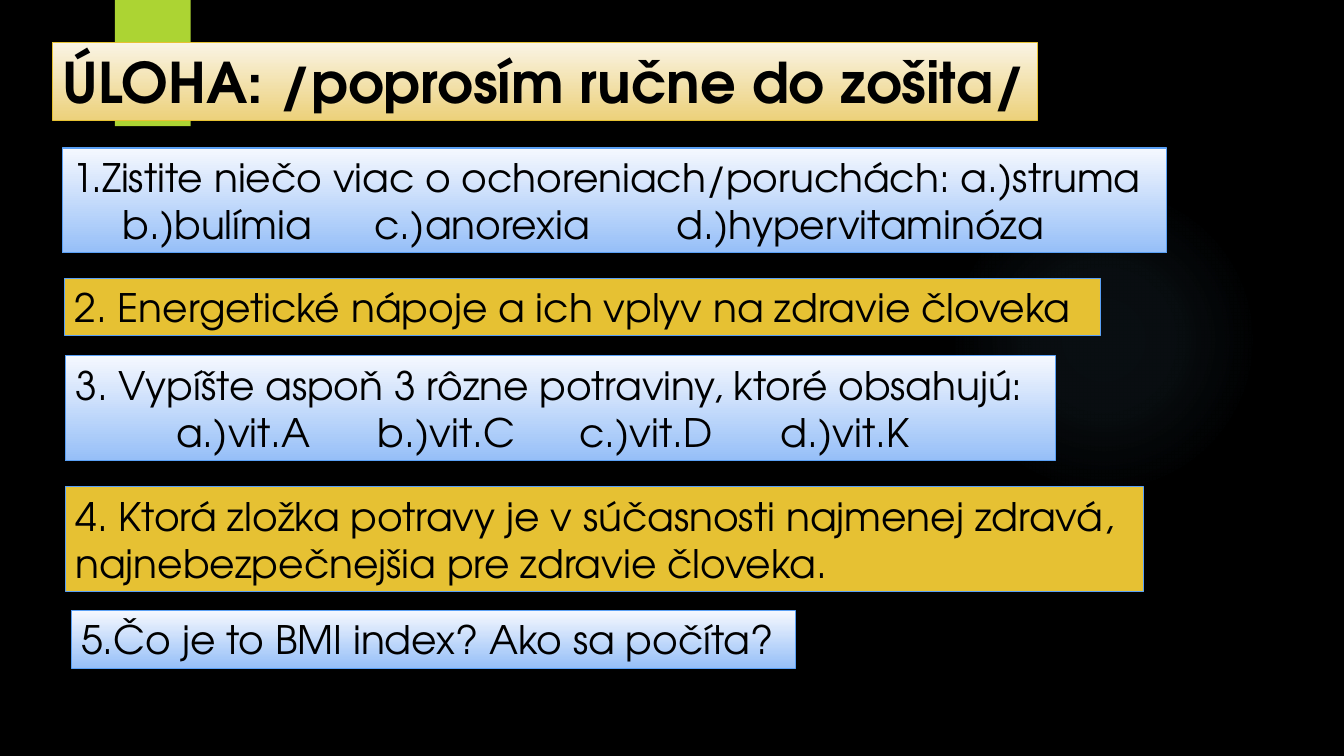
from lxml import etree
from pptx import Presentation
from pptx.dml.color import RGBColor
from pptx.enum.shapes import MSO_SHAPE
from pptx.enum.text import MSO_AUTO_SIZE
from pptx.oxml.ns import nsdecls, qn
from pptx.util import Cm, Pt

FONT = "TeX Gyre Adventor"
COLORS = {
    "black": "000000",
    "green": "ACD433",
    "glow": "7AC4F0",
    "gold": "E6C133",
    "cream": "FAF4E5",
    "sand": "ECD17B",
    "ice": "F5F8FE",
    "sky": "96BFF8",
    "blue": "5AA0F5",
}
CREAM_FADE = ["cream", "sand"]
BLUE_FADE = ["ice", "sky"]
GOLD = ["gold"]


def rgb(name):
    return RGBColor.from_string(COLORS[name])


def add_box(left, top, width, height, lines, fill, line, size=28, bold=False, tabs=()):
    s = slide.shapes.add_textbox(Cm(left), Cm(top), Cm(width), Cm(height))
    if len(fill) == 1:
        s.fill.solid()
        s.fill.fore_color.rgb = rgb(fill[0])
    else:
        s.fill.gradient()
        s.fill.gradient_angle = 270
        for stop, name in zip(s.fill.gradient_stops, fill):
            stop.color.rgb = rgb(name)
    s.line.color.rgb = rgb(line)
    s.line.width = Pt(0.75)
    tf = s.text_frame
    tf.word_wrap = False
    tf.auto_size = MSO_AUTO_SIZE.SHAPE_TO_FIT_TEXT
    tf.text = "\n".join(lines)
    for p in tf.paragraphs:
        if tabs and "\t" in p.text:
            tab_list = etree.SubElement(p._p.get_or_add_pPr(), qn("a:tabLst"))
            for pos in tabs:
                etree.SubElement(tab_list, qn("a:tab"), pos=str(Cm(pos)), algn="l")
        p.font.name = FONT
        p.font.size = Pt(size)
        p.font.bold = bold
        p.font.color.rgb = rgb("black")


prs = Presentation()
prs.slide_width = Cm(33.87)
prs.slide_height = Cm(19.05)
slide = prs.slides.add_slide(prs.slide_layouts[6])
slide.background.fill.solid()
slide.background.fill.fore_color.rgb = rgb("black")

glow = slide.shapes.add_shape(MSO_SHAPE.OVAL, Cm(23.9), Cm(4.65), Cm(7.82), Cm(7.82))
glow.shadow.inherit = False
glow.line.fill.background()
glow.fill.solid()
stops = "".join(
    f'<a:gs pos="{pos * 1000}"><a:srgbClr val="{COLORS["glow"]}">'
    f'<a:alpha val="{alpha * 1000}"/></a:srgbClr></a:gs>'
    for pos, alpha in [(0, 7), (36, 6), (69, 0)]
)
radial = etree.fromstring(
    f'<a:gradFill {nsdecls("a")} rotWithShape="1"><a:gsLst>{stops}</a:gsLst>'
    '<a:path path="circle"><a:fillToRect l="50000" t="50000" r="50000" b="50000"/>'
    "</a:path></a:gradFill>"
)
spPr = glow._element.spPr
spPr.replace(spPr.find(qn("a:solidFill")), radial)

tag = slide.shapes.add_shape(MSO_SHAPE.RECTANGLE, Cm(2898 / 1000), Cm(0), Cm(1.91), Cm(3.18))
tag.shadow.inherit = False
tag.line.fill.background()
tag.fill.solid()
tag.fill.fore_color.rgb = rgb("green")

add_box(1.32, 1.07, 24.82, 1.96, ["ÚLOHA: /poprosím ručne do zošita/"],
        CREAM_FADE, "gold", size=40, bold=True)

tasks = [
    (1.57, 3.73, 27.84, BLUE_FADE, (1.27, 7.62, 15.24),
     ["1.Zistite niečo viac o ochoreniach/poruchách: a.)struma",
      "\tb.)bulímia\tc.)anorexia\td.)hypervitaminóza"]),
    (1.63, 7.01, 26.11, GOLD, (),
     ["2. Energetické nápoje a ich vplyv na zdravie človeka"]),
    (1.65, 8.97, 24.94, BLUE_FADE, (2.54, 7.62, 12.7, 17.78),
     ["3. Vypíšte aspoň 3 rôzne potraviny, ktoré obsahujú:",
      "\ta.)vit.A\tb.)vit.C\tc.)vit.D\td.)vit.K"]),
    (1.65, 12.27, 27.18, GOLD, (),
     ["4. Ktorá zložka potravy je v súčasnosti najmenej zdravá,",
      "najnebezpečnejšia pre zdravie človeka."]),
    (1.8, 15.39, 18.26, BLUE_FADE, (),
     ["5.Čo je to BMI index? Ako sa počíta?"]),
]
for left, top, width, fill, tabs, lines in tasks:
    height = 1.45 if len(lines) == 1 else 2.64
    add_box(left, top, width, height, lines, fill, "blue", tabs=tabs)

prs.save("out.pptx")
